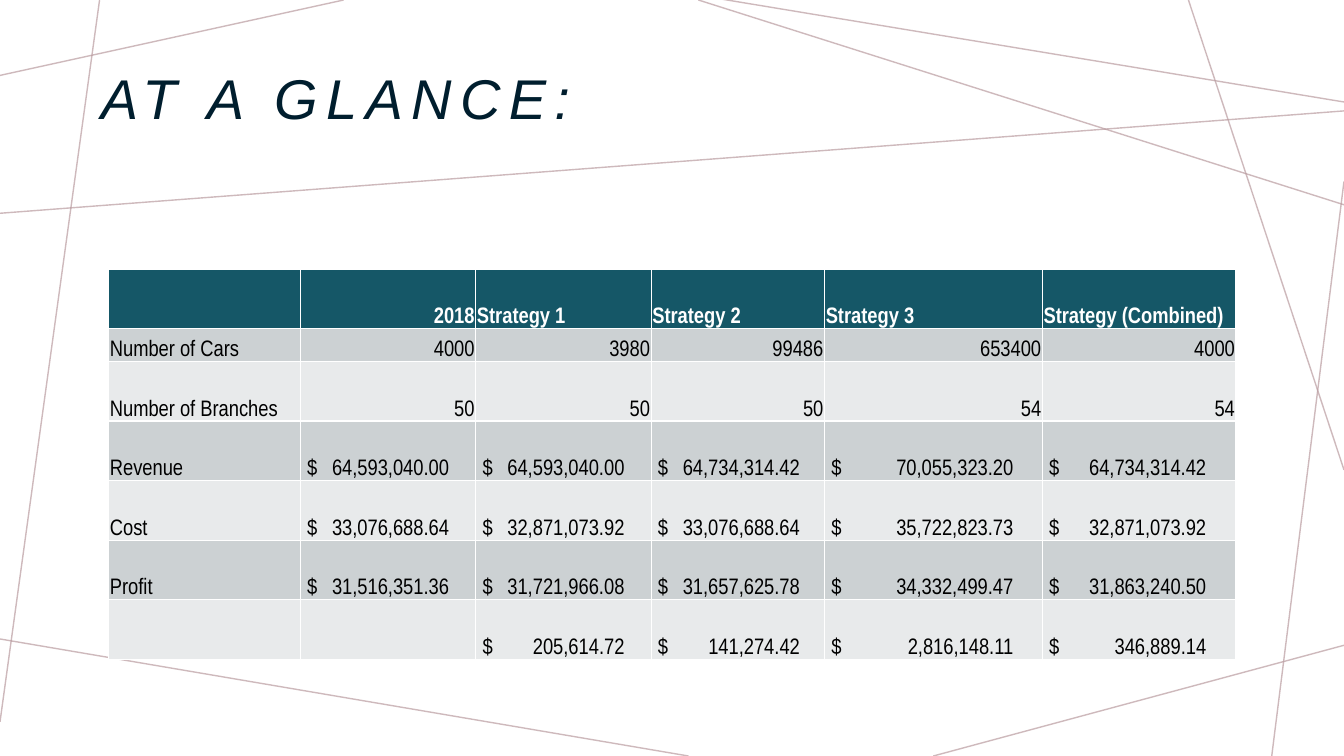
from lxml import etree
from pptx import Presentation
from pptx.dml.color import RGBColor
from pptx.enum.shapes import MSO_CONNECTOR
from pptx.enum.text import MSO_ANCHOR, MSO_AUTO_SIZE, PP_ALIGN
from pptx.oxml.ns import qn
from pptx.util import Cm, Pt

STRAIGHT = MSO_CONNECTOR.STRAIGHT
MIDDLE, BOTTOM = MSO_ANCHOR.MIDDLE, MSO_ANCHOR.BOTTOM
LEFT, RIGHT = PP_ALIGN.LEFT, PP_ALIGN.RIGHT
NO_AUTOFIT = MSO_AUTO_SIZE.NONE
TITLE_ONLY = 5


def rgb(value):
    return RGBColor.from_string(value)


deck = Presentation()
deck.slide_width, deck.slide_height = Cm(33.87), Cm(19.05)
slide = deck.slides.add_slide(deck.slide_layouts[TITLE_ONLY])

# Crossing background lines: x1, y1, x2, y2 in cm
background_lines = [
    (8.66, 0, 0, 1.9),
    (2.51, 0, 0, 18.19),
    (17.35, 19.05, -0.13, 16.08),
    (33.87, 16.26, 23.52, 19.05),
    (33.87, 4.57, 32.05, 19.05),
    (33.87, 11.84, 29.95, 0),
    (33.87, 2.57, 18.14, -0.03),
    (17.6, 0, 33.87, 5.16),
    (-0.08, 5.38, 33.93, 2.79),
]
for ends in background_lines:
    strand = slide.shapes.add_connector(STRAIGHT, *[Cm(end) for end in ends])
    strand.line.width = Pt(1)
    strand.line.color.rgb = rgb("BA9CA0")
    color = strand._element.spPr.find(".//" + qn("a:srgbClr"))
    etree.SubElement(color, qn("a:alpha"), val="70000")
    etree.SubElement(strand._element.spPr, qn("a:effectLst"))

# Title
title = slide.shapes.title
title.left, title.top, title.width, title.height = Cm(2.29), Cm(1.17), Cm(22.94), Cm(2.79)
title.text_frame.text = "AT A GLANCE:"
title.text_frame.auto_size = NO_AUTOFIT
title.text_frame.vertical_anchor = MIDDLE
heading = title.text_frame.paragraphs[0]
heading.alignment = LEFT
heading.line_spacing = 0.9
heading.font.name, heading.font.size, heading.font.italic = "Arial", Pt(40), True
heading.font.color.rgb = rgb("001E2E")
heading.runs[0]._r.get_or_add_rPr().set("spc", "600")

# Strategy comparison
comparison = [
    ["", "2018", "Strategy 1", "Strategy 2", "Strategy 3", "Strategy (Combined)"],
    ["Number of Cars", "4000", "3980", "99486", "653400", "4000"],
    ["Number of Branches", "50", "50", "50", "54", "54"],
    ["Revenue", "$\t64,593,040.00", "$\t64,593,040.00", "$\t64,734,314.42",
     "$\t70,055,323.20", "$\t64,734,314.42"],
    ["Cost", "$\t33,076,688.64", "$\t32,871,073.92", "$\t33,076,688.64",
     "$\t35,722,823.73", "$\t32,871,073.92"],
    ["Profit", "$\t31,516,351.36", "$\t31,721,966.08", "$\t31,657,625.78",
     "$\t34,332,499.47", "$\t31,863,240.50"],
    ["", "", "$\t205,614.72", "$\t141,274.42", "$\t2,816,148.11", "$\t346,889.14"],
]
column_widths = [4.83, 4.42, 4.42, 4.37, 5.49, 4.88]
row_heights = [1.5, 0.83, 1.5, 1.5, 1.5, 1.5, 1.5]
amount_ends = [0, 3.58, 3.58, 3.58, 4.59, 3.96]  # right tab stop in each column

table = slide.shapes.add_table(
    len(row_heights), len(column_widths), Cm(2.74), Cm(6.78),
    Cm(sum(column_widths)), Cm(sum(row_heights))).table
for column, width in zip(table.columns, column_widths):
    column.width = Cm(width)
for row, height in zip(table.rows, row_heights):
    row.height = Cm(height)

for r, values in enumerate(comparison):
    band = "155767" if r == 0 else "CCD1D3" if r % 2 else "E8EAEB"
    for c, value in enumerate(values):
        is_amount = value.startswith("$")
        cell = table.cell(r, c)
        cell.fill.solid()
        cell.fill.fore_color.rgb = rgb(band)
        cell.vertical_anchor = BOTTOM
        cell.margin_left = Cm(0.17 if is_amount else 0.03)
        cell.margin_right = cell.margin_top = Cm(0.03)
        cell.margin_bottom = 0
        cell.text = value
        entry = cell.text_frame.paragraphs[0]
        entry.alignment = RIGHT if value.isdigit() else LEFT
        entry.font.name, entry.font.size, entry.font.bold = "Arial Narrow", Pt(16), r == 0
        entry.font.color.rgb = rgb("FFFFFF" if r == 0 else "000000")
        # Dollar sign at the left, amount against a right tab stop
        if is_amount:
            stops = etree.Element(qn("a:tabLst"))
            etree.SubElement(stops, qn("a:tab"), pos=str(Cm(amount_ends[c])), algn="r")
            entry._p.pPr.find(qn("a:defRPr")).addprevious(stops)

deck.save("out.pptx")
